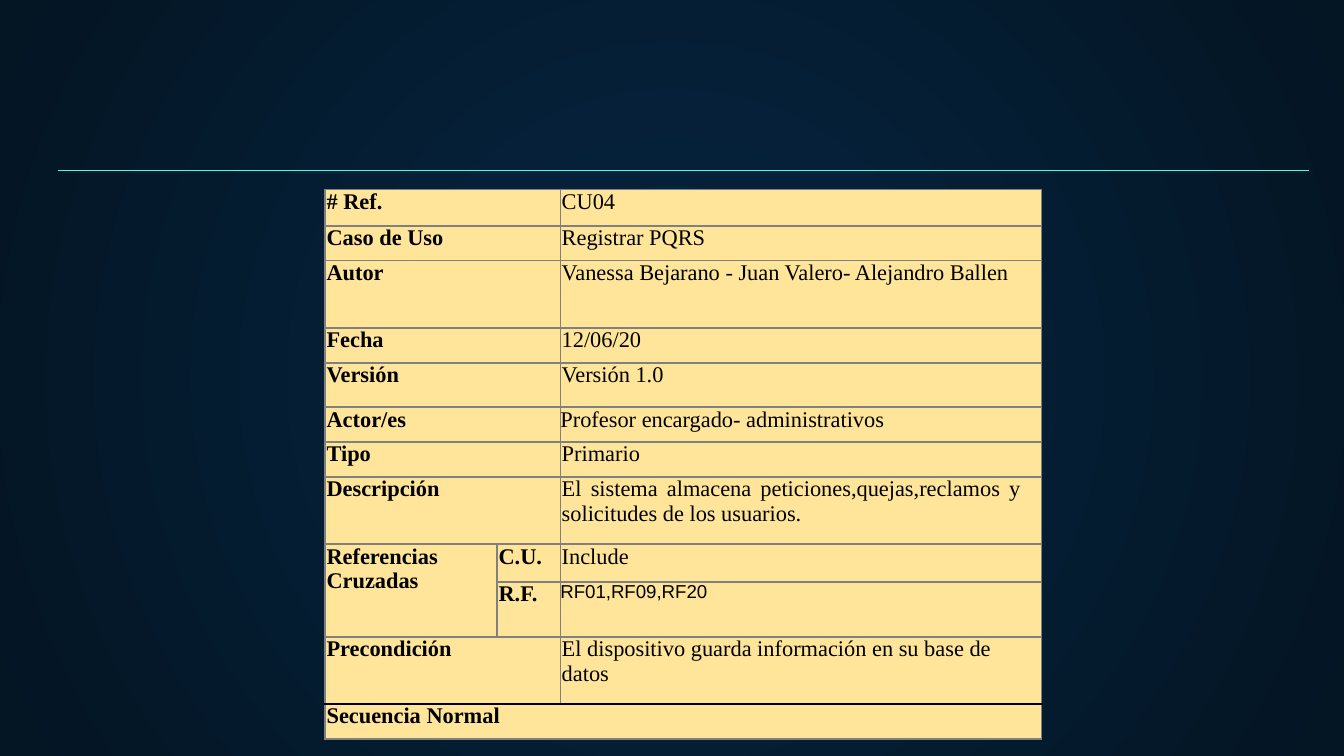
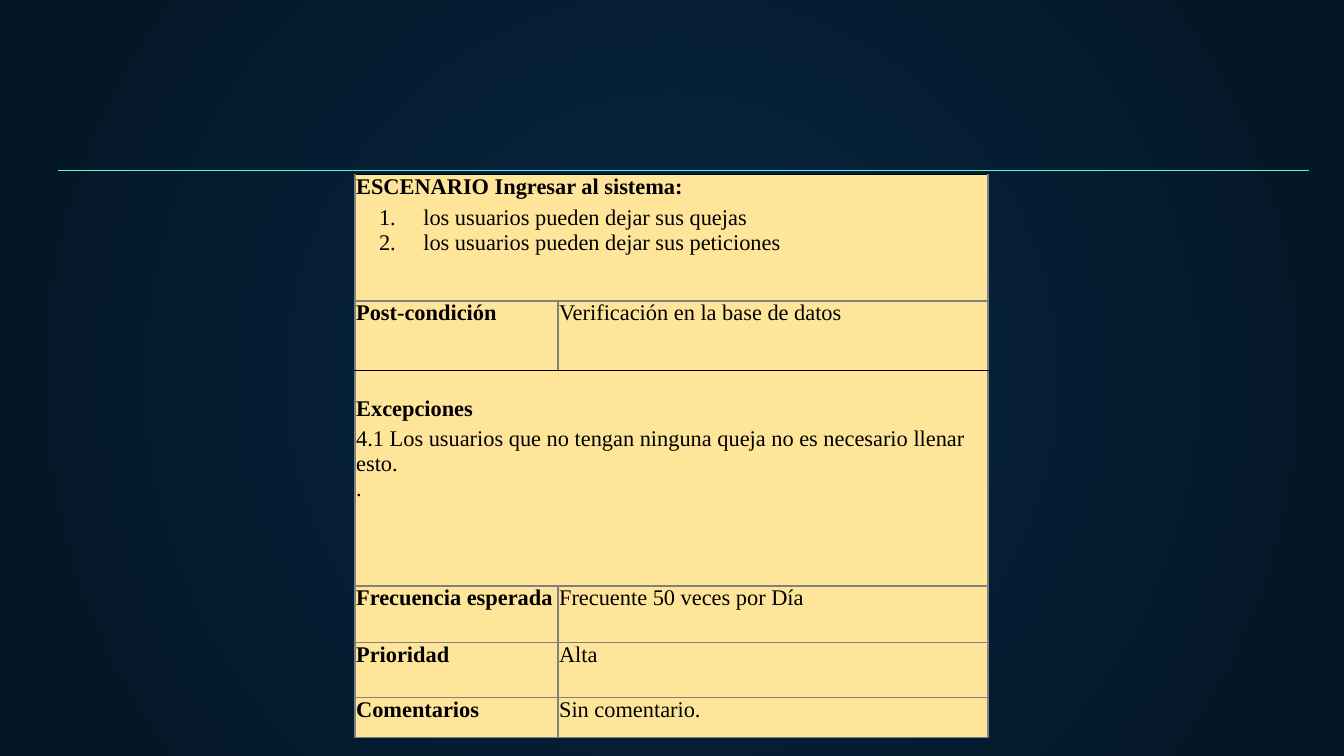
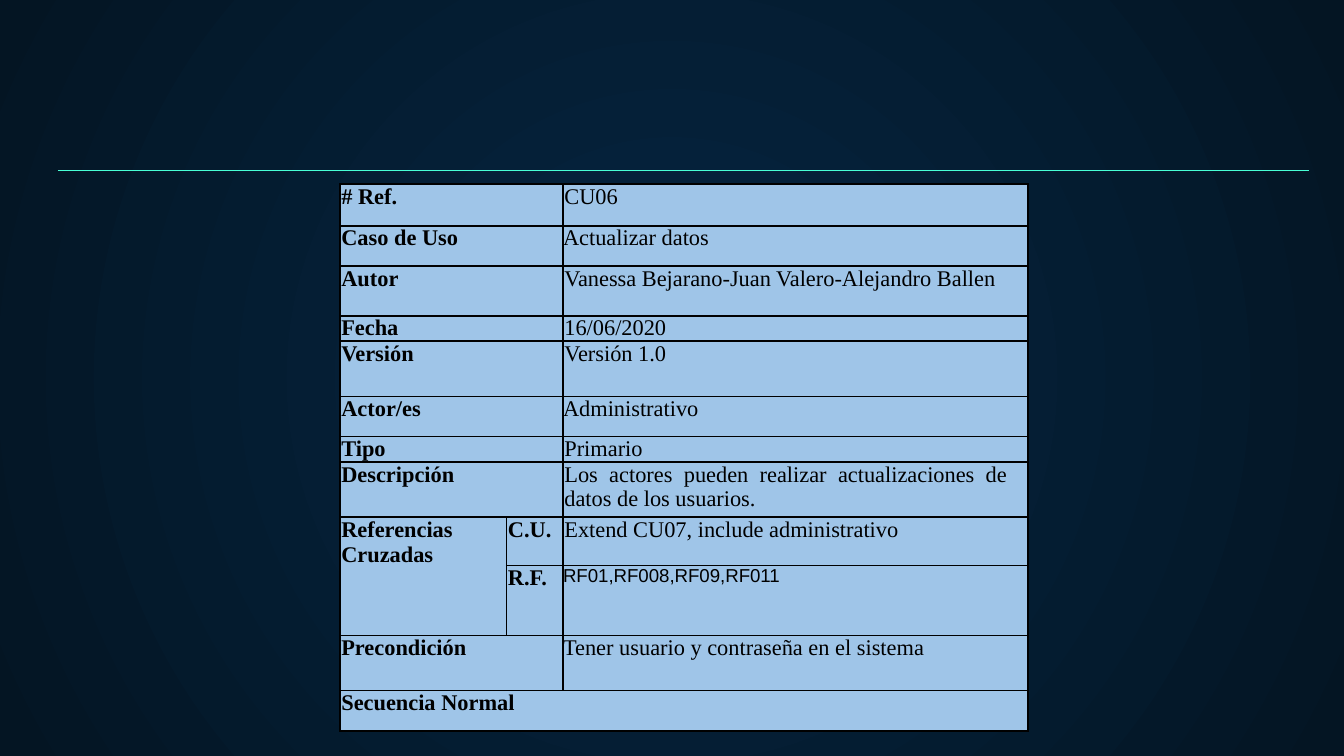
from dataclasses import dataclass
from itertools import product

from lxml.etree import SubElement
from pptx import Presentation
from pptx.dml.color import RGBColor
from pptx.enum.shapes import MSO_CONNECTOR
from pptx.enum.text import PP_ALIGN
from pptx.oxml.ns import qn
from pptx.util import Inches, Pt

# Shared look
GLOW, NIGHT, MINT = "052643", "041523", "48FFD5"
BLACK, GREY, CREAM, SKY = "000000", "808080", "FFE599", "9FC5E8"
SERIF, SANS = "Times New Roman", "Arial"
TEXT_INSET, VALUE_RIGHT_INSET = 0.01, 0.15

LABELS = ("# Ref.", "Caso de Uso", "Autor", "Fecha", "Versión", "Actor/es", "Tipo",
          "Descripción", "C.U.", "R.F.", "Precondición")
CROSS_REFERENCES = LABELS.index("C.U.")
REQUIREMENTS = LABELS.index("R.F.")
DESCRIPTION = LABELS.index("Descripción")


@dataclass(frozen=True)
class Line:
    text: str
    bold: bool = False
    size: int = 12
    font: str = SERIF
    space_before: float = 0
    numbered: bool = False
    justified: bool = False


@dataclass(frozen=True)
class Entry:
    row: int
    column: int
    lines: tuple[Line, ...]
    row_span: int = 1
    column_span: int = 1
    left: float = TEXT_INSET
    top: float = 0
    right: float = 0


@dataclass(frozen=True)
class Sheet:
    left: float
    top: float
    columns: tuple[float, ...]
    rows: tuple[float, ...]
    entries: tuple[Entry, ...]
    fill: str
    border: str
    black_rules: tuple[int, ...] = ()  # horizontal rules, counted from the top edge


def color(value: str) -> RGBColor:
    return RGBColor.from_string(value)


# Background and rule
def paint_background(presentation) -> None:
    master = presentation.slide_master
    fill = master.background.fill
    fill.gradient()
    for stop, position, shade in zip(fill.gradient_stops, (0, 1), (GLOW, NIGHT)):
        stop.position = position
        stop.color.rgb = color(shade)
    gradient = master.element.find(".//" + qn("a:gradFill"))
    gradient.remove(gradient.find(qn("a:lin")))
    circle = SubElement(gradient, qn("a:path"), {"path": "circle"})
    SubElement(circle, qn("a:fillToRect"), dict.fromkeys("ltrb", "50000"))


def add_header_rule(slide) -> None:
    rule = slide.shapes.add_connector(
        MSO_CONNECTOR.STRAIGHT, Inches(0.43), Inches(1.27), Inches(9.74), Inches(1.27))
    rule.line.color.rgb = color(MINT)
    rule.line.width = Pt(0.75)
    SubElement(rule.element.spPr, qn("a:effectLst"))


# Table parts
def set_border(cell, side: str, shade: str, width: float) -> None:
    properties = cell._tc.get_or_add_tcPr()
    line = SubElement(properties, qn(f"a:ln{side}"), {"w": str(Pt(width))})
    solid = SubElement(line, qn("a:solidFill"))
    SubElement(solid, qn("a:srgbClr"), {"val": shade})


def style_cell(cell, sheet: Sheet, row: int) -> None:
    cell.margin_left = cell.margin_right = cell.margin_top = cell.margin_bottom = 0
    for side, rule in (("L", None), ("R", None), ("T", row), ("B", row + 1)):
        black = rule in sheet.black_rules
        set_border(cell, side, BLACK if black else sheet.border, 0.75 if black else 1)
    cell.fill.solid()
    cell.fill.fore_color.rgb = color(sheet.fill)


def write_line(paragraph, line: Line) -> None:
    paragraph.text = line.text
    if line.numbered:
        properties = paragraph._p.get_or_add_pPr()
        properties.set("marL", str(Inches(0.5)))
        properties.set("indent", str(Inches(-0.33)))
        bullet_color = SubElement(properties, qn("a:buClr"))
        SubElement(bullet_color, qn("a:srgbClr"), {"val": BLACK})
        SubElement(properties, qn("a:buAutoNum"), {"type": "arabicPeriod"})
    paragraph.alignment = PP_ALIGN.JUSTIFY if line.justified else PP_ALIGN.LEFT
    if line.space_before:
        paragraph.space_before = Pt(line.space_before)
    font = paragraph.runs[0].font
    font.name, font.size, font.bold = line.font, Pt(line.size), line.bold
    font.color.rgb = color(BLACK)


def write_entry(table, entry: Entry) -> None:
    cell = table.cell(entry.row, entry.column)
    if entry.row_span > 1 or entry.column_span > 1:
        cell.merge(table.cell(entry.row + entry.row_span - 1,
                              entry.column + entry.column_span - 1))
    cell.margin_left = Inches(entry.left)
    cell.margin_top = Inches(entry.top)
    cell.margin_right = Inches(entry.right)
    frame = cell.text_frame
    for index, line in enumerate(entry.lines):
        write_line(frame.add_paragraph() if index else frame.paragraphs[0], line)


def add_sheet(slide, sheet: Sheet) -> None:
    table = slide.shapes.add_table(
        len(sheet.rows), len(sheet.columns), Inches(sheet.left), Inches(sheet.top),
        Inches(sum(sheet.columns)), Inches(sum(sheet.rows))).table
    table.first_row = table.horz_banding = False
    for column, width in zip(table.columns, sheet.columns):
        column.width = Inches(width)
    for row, height in zip(table.rows, sheet.rows):
        row.height = Inches(height)
    for row, column in product(range(len(sheet.rows)), range(len(sheet.columns))):
        style_cell(table.cell(row, column), sheet, row)
    for entry in sheet.entries:
        write_entry(table, entry)


# Table contents
def label(row: int, text: str, column: int = 0, column_span: int = 1) -> Entry:
    return Entry(row, column, (Line(text, bold=True),), column_span=column_span)


def value(row: int, column: int, line: Line, flush: bool = False) -> Entry:
    return Entry(row, column, (line,), left=0 if flush else TEXT_INSET,
                 right=VALUE_RIGHT_INSET)


def use_case_entries(values: tuple[str, ...], flush_rows: tuple[int, ...]) -> tuple[Entry, ...]:
    entries = [Entry(CROSS_REFERENCES, 0,
                     (Line("Referencias", bold=True), Line("Cruzadas", bold=True)), row_span=2),
               label(len(LABELS), "Secuencia Normal", column_span=3)]
    for row, (name, text) in enumerate(zip(LABELS, values)):
        if row in (CROSS_REFERENCES, REQUIREMENTS):
            entries.append(label(row, name, column=1))
        else:
            entries.append(label(row, name, column_span=2))
        if row == REQUIREMENTS:
            line = Line(text, size=10, font=SANS)
        else:
            line = Line(text, justified=row == DESCRIPTION)
        entries.append(value(row, 2, line, row in flush_rows))
    return tuple(entries)


def scenario_entries() -> tuple[Entry, ...]:
    scenario = (Line("ESCENARIO Ingresar al sistema:", bold=True),
                Line("los usuarios pueden dejar sus quejas", space_before=3, numbered=True),
                Line("los usuarios pueden dejar sus peticiones", numbered=True))
    exceptions = (Line("Excepciones", bold=True),
                  Line("4.1 Los usuarios que no tengan ninguna queja no es necesario "
                       "llenar esto.", space_before=3),
                  Line("."))
    entries = [Entry(0, 0, scenario, column_span=2),
               Entry(2, 0, exceptions, column_span=2, top=0.19)]
    for row, name, text in ((1, "Post-condición", "Verificación en la base de datos"),
                            (3, "Frecuencia esperada", "Frecuente 50 veces por Día"),
                            (4, "Prioridad", "Alta"),
                            (5, "Comentarios", "Sin comentario.")):
        entries += [label(row, name), value(row, 1, Line(text))]
    return tuple(entries)


SHEETS = (
    Sheet(2.42, 1.41, (1.28, 0.47, 3.58),
          (0.27, 0.26, 0.5, 0.26, 0.33, 0.26, 0.26, 0.5, 0.28, 0.41, 0.5, 0.26),
          use_case_entries(
              ("CU04", "Registrar PQRS", "Vanessa Bejarano - Juan Valero- Alejandro Ballen",
               "12/06/20", "Versión 1.0", "Profesor encargado- administrativos", "Primario",
               "El sistema almacena peticiones,quejas,reclamos y solicitudes de los usuarios.",
               "Include", "RF01,RF09,RF20",
               "El dispositivo guarda información en su base de datos"),
              flush_rows=(5, REQUIREMENTS)),
          CREAM, GREY, black_rules=(11,)),
    Sheet(2.64, 1.3, (1.51, 3.2), (0.94, 0.52, 1.6, 0.42, 0.41, 0.3),
          scenario_entries(), CREAM, GREY, black_rules=(0, 2)),
    Sheet(2.53, 1.37, (1.24, 0.42, 3.46),
          (0.31, 0.3, 0.37, 0.19, 0.41, 0.3, 0.19, 0.41, 0.36, 0.52, 0.41, 0.3),
          use_case_entries(
              ("CU06", "Actualizar datos", "Vanessa Bejarano-Juan Valero-Alejandro Ballen",
               "16/06/2020", "Versión 1.0", "Administrativo", "Primario",
               "Los actores pueden realizar actualizaciones de datos de los usuarios.",
               "Extend CU07, include administrativo", "RF01,RF008,RF09,RF011",
               "Tener usuario y contraseña en el sistema"),
              flush_rows=(1, 5, REQUIREMENTS, 10)),
          SKY, BLACK),
)


def main() -> None:
    presentation = Presentation()
    presentation.slide_width = Inches(10)
    presentation.slide_height = Inches(10) * 9 // 16
    paint_background(presentation)
    blank_layout = presentation.slide_layouts[6]
    for sheet in SHEETS:
        slide = presentation.slides.add_slide(blank_layout)
        add_header_rule(slide)
        add_sheet(slide, sheet)
    presentation.save("out.pptx")


if __name__ == "__main__":
    main()
